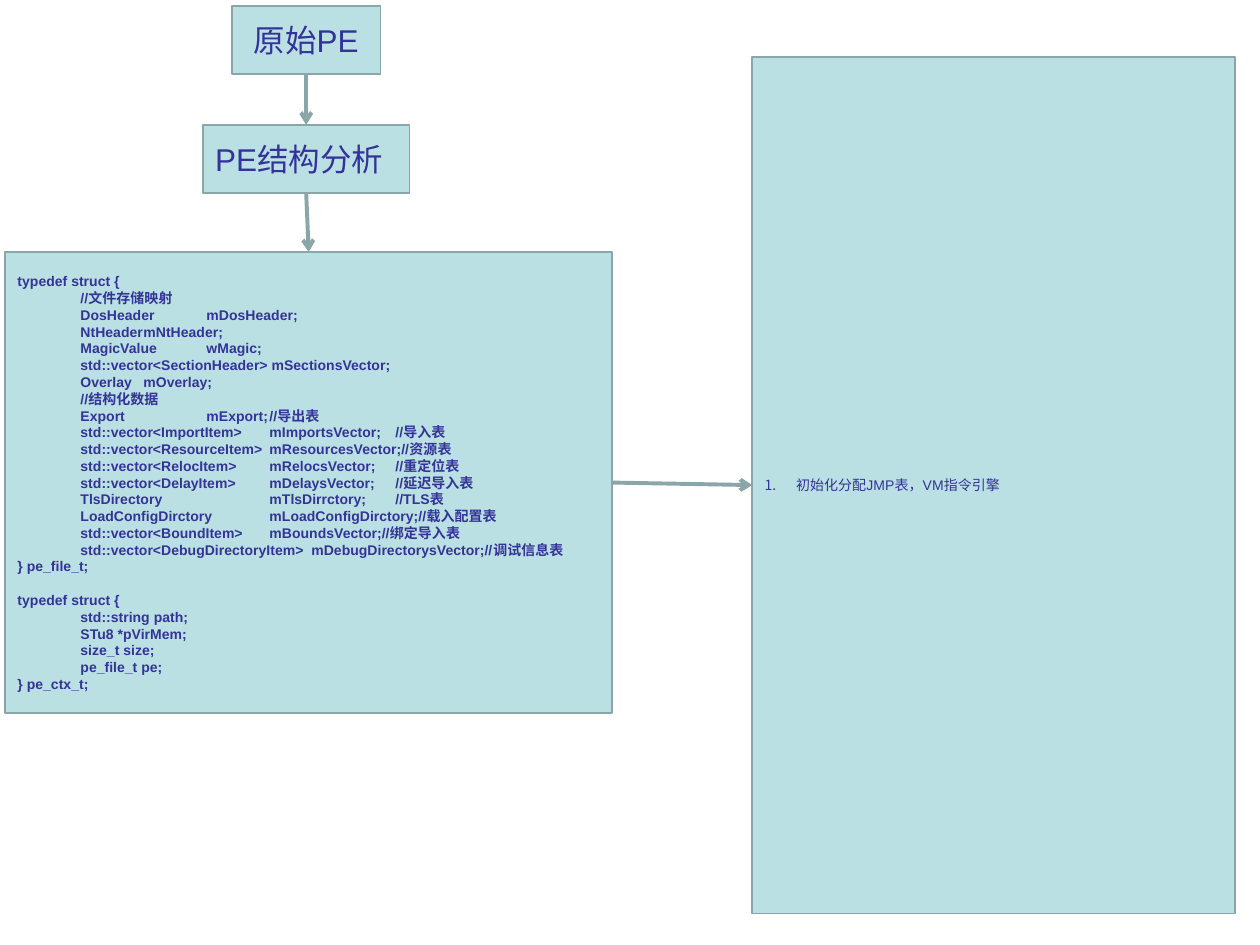
"""Draw the flow from a raw PE file through its parsed structures to the VM setup."""
from dataclasses import dataclass

from pptx import Presentation
from pptx.dml.color import RGBColor as Color
from pptx.enum.shapes import MSO_CONNECTOR as Link, MSO_SHAPE as Shape
from pptx.enum.text import MSO_ANCHOR as Anchor, PP_ALIGN as Align
from pptx.oxml.xmlchemy import OxmlElement as Element
from pptx.shapes.autoshape import Shape as Node
from pptx.slide import Slide
from pptx.util import Inches, Pt


@dataclass(frozen=True)
class Theme:
    fill: Color = Color.from_string("BBE0E3")
    line: Color = Color.from_string("8AA6A8")
    ink: Color = Color.from_string("333399")
    font: str = "Arial"
    head: int = 18
    body: int = 8
    edge: float = 1
    arrow: float = 2.25


@dataclass(frozen=True)
class Line:
    text: str
    left: float = 0
    first: float = 0
    gap: float = 0
    number: bool = False


@dataclass(frozen=True)
class Box:
    col: float
    row: float
    cols: float
    rows: float
    lines: list[Line]
    size: int
    bold: bool = False
    align: Align = Align.LEFT


THEME = Theme()
CELL = Inches(0.1)
COLS, ROWS = 100, 75
TOP, LEFT, BOTTOM, RIGHT = range(4)

FIELDS = (
    "//文件存储映射",
    "DosHeader\tmDosHeader;",
    "NtHeader\tmNtHeader;",
    "MagicValue\twMagic;",
    "std::vector<SectionHeader> mSectionsVector;",
    "Overlay\tmOverlay;",
    "//结构化数据",
    "Export\t\tmExport;\t//导出表",
    "std::vector<ImportItem>\tmImportsVector;\t//导入表",
    "std::vector<ResourceItem>\tmResourcesVector;//资源表",
    "std::vector<RelocItem>\tmRelocsVector;\t//重定位表",
    "std::vector<DelayItem>\tmDelaysVector;\t//延迟导入表",
    "TlsDirectory\t\tmTlsDirrctory;\t//TLS表",
    "LoadConfigDirctory\tmLoadConfigDirctory;//载入配置表",
    "std::vector<BoundItem>\tmBoundsVector;//绑定导入表",
    "std::vector<DebugDirectoryItem>  mDebugDirectorysVector;//调试信息表",
)
CONTEXT = ("std::string path;", "STu8 *pVirMem;", "size_t size;", "pe_file_t pe;")
CODE = [
    Line("typedef struct {"),
    *(Line(field, first=5) for field in FIELDS),
    Line("} pe_file_t;"),
    Line("typedef struct {", gap=9.6),
    *(Line(f"\t{field}") for field in CONTEXT),
    Line("} pe_ctx_t;"),
]
STEPS = [Line("初始化分配JMP表，VM指令引擎", left=2.5, first=-2.5, number=True)]

BOXES = (
    Box(18.4, 0.5, 11.8, 5.4, [Line("原始PE")], THEME.head, align=Align.CENTER),
    Box(16.1, 9.9, 16.4, 5.4, [Line("PE结构分析")], THEME.head),
    Box(0.4, 20, 48.2, 36.6, CODE, THEME.body, bold=True),
    Box(59.7, 4.5, 38.3, 68, STEPS, THEME.body),
)
LINKS = ((0, BOTTOM, 1, TOP), (1, BOTTOM, 2, TOP), (2, RIGHT, 3, LEFT))


def grid(count: float) -> int:
    """Turn a count of grid cells into a length."""
    return round(count * CELL)


def write(para, line: Line, box: Box) -> None:
    """Set one line of text in the style of its box."""
    para.text = line.text
    para.alignment = box.align
    para.space_before = Pt(line.gap)
    props = para._p.get_or_add_pPr()
    props.set("marL", str(grid(line.left)))
    props.set("indent", str(grid(line.first)))
    if line.number:
        mark = Element("a:buAutoNum")
        mark.set("type", "arabicPeriod")
        props.append(mark)
    for run in para.runs:
        font = run.font
        font.name, font.size, font.bold = THEME.font, Pt(box.size), box.bold
        font.color.rgb = THEME.ink


def draw(slide: Slide, box: Box) -> Node:
    """Add a filled box with its lines of text."""
    place = map(grid, (box.col, box.row, box.cols, box.rows))
    node = slide.shapes.add_shape(Shape.RECTANGLE, *place)
    node.shadow.inherit = False
    node.fill.solid()
    node.fill.fore_color.rgb = THEME.fill
    node.line.color.rgb = THEME.line
    node.line.width = Pt(THEME.edge)
    frame = node.text_frame
    frame.word_wrap = True
    frame.vertical_anchor = Anchor.MIDDLE
    for index, line in enumerate(box.lines):
        para = frame.add_paragraph() if index else frame.paragraphs[0]
        write(para, line, box)
    return node


def join(slide: Slide, start: Node, out: int, end: Node, into: int) -> None:
    """Tie two boxes together with an arrow."""
    link = slide.shapes.add_connector(Link.STRAIGHT, 0, 0, 0, 0)
    link.begin_connect(start, out)
    link.end_connect(end, into)
    link.line.color.rgb = THEME.line
    link.line.width = Pt(THEME.arrow)
    tip = Element("a:tailEnd")
    tip.set("type", "arrow")
    link.line._get_or_add_ln().append(tip)
    link._element.spPr.append(Element("a:effectLst"))


def main() -> None:
    """Build and save the slide."""
    deck = Presentation()
    deck.slide_width, deck.slide_height = grid(COLS), grid(ROWS)
    slide = deck.slides.add_slide(deck.slide_layouts[6])
    nodes = [draw(slide, box) for box in BOXES]
    for start, out, end, into in LINKS:
        join(slide, nodes[start], out, nodes[end], into)
    deck.save("out.pptx")


if __name__ == "__main__":
    main()
